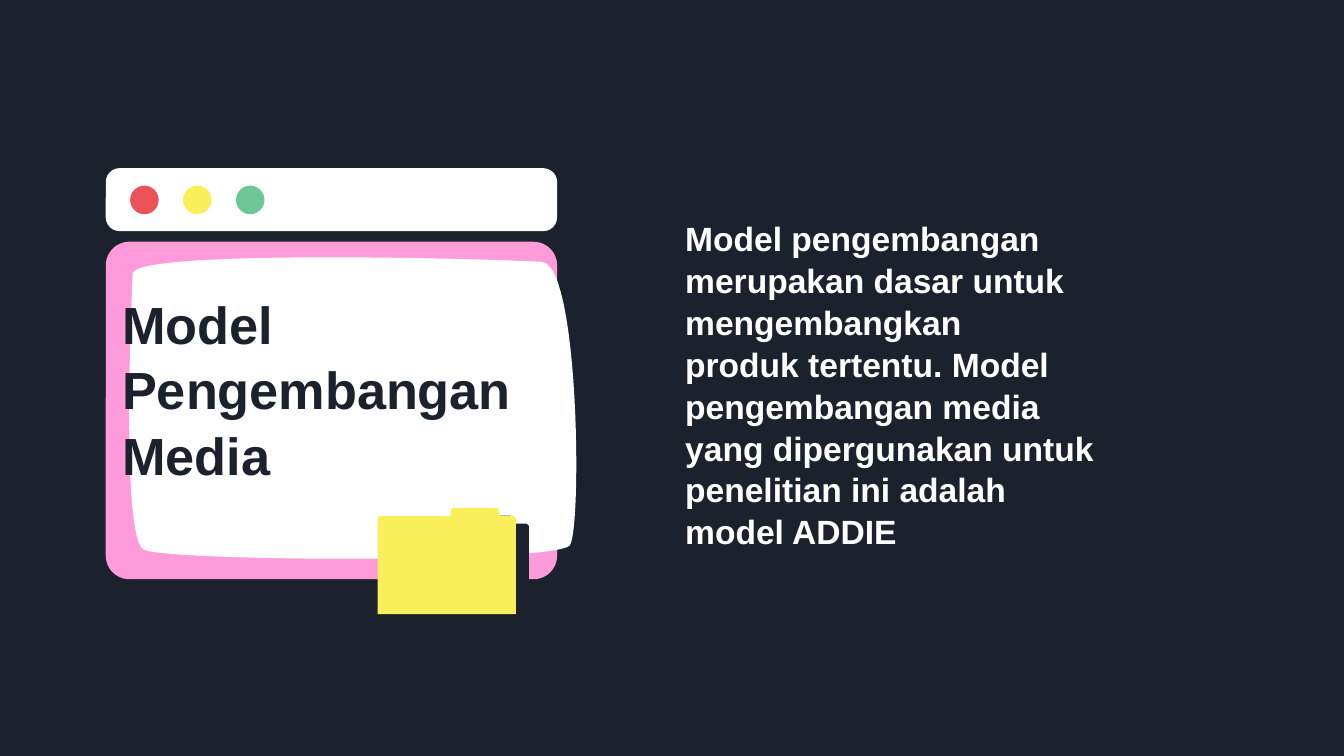
"""Build a slide that introduces the media development model."""
from dataclasses import dataclass

import lxml.etree
import pptx
import pptx.dml.color
import pptx.enum.shapes
import pptx.enum.text
import pptx.oxml.ns
import pptx.util

Cm = pptx.util.Cm
PRESET = pptx.enum.shapes.MSO_SHAPE


@dataclass(frozen=True)
class Theme:
    navy: str = "1B222D"
    white: str = "FFFFFF"
    pink: str = "FF9BDA"
    red: str = "EB5358"
    yellow: str = "F8EF5B"
    green: str = "6DC797"
    font: str = "Arial"
    title_size: int = 28
    body_size: int = 18
    line_spacing: float = 1.04


THEME = Theme()

PAPER_START = (2.51, 5.16)
PAPER_CURVES = [
    ((2.51, 5.16), (2.26, 10.19), (2.72, 10.39)),
    ((3.18, 10.62), (10.52, 10.64), (10.77, 10.31)),
    ((11.0, 9.98), (10.95, 4.98), (10.24, 4.95)),
    ((9.55, 4.9), (2.64, 4.7), (2.51, 5.16)),
]
FOLDER_OUTLINE = [
    (9.75, 9.8), (9.75, 11.61), (7.14, 11.61), (7.14, 9.8), (7.16, 9.77),
    (7.2, 9.75), (8.51, 9.75), (8.53, 9.63), (8.56, 9.6), (9.4, 9.6),
    (9.42, 9.63), (9.45, 9.75), (9.69, 9.75), (9.73, 9.77),
]


def rgb(color):
    return pptx.dml.color.RGBColor.from_string(color)


def paint(shape, color):
    shape.shadow.inherit = False
    shape.fill.solid()
    shape.fill.fore_color.rgb = rgb(color)
    shape.line.fill.background()


def add_preset(slide, preset, left, top, width, height, color, rounding=None):
    shape = slide.shapes.add_shape(preset, Cm(left), Cm(top), Cm(width), Cm(height))
    if rounding is not None:
        shape.adjustments[0] = rounding
    paint(shape, color)


def trace_curves(start, curves, steps=24):
    points = [start]
    for first, second, end in curves:
        origin = points[-1]
        for step in range(1, steps + 1):
            t = step / steps
            weights = ((1 - t) ** 3, 3 * t * (1 - t) ** 2, 3 * t * t * (1 - t), t ** 3)
            corners = (origin, first, second, end)
            points.append(tuple(
                sum(w * corner[axis] for w, corner in zip(weights, corners))
                for axis in (0, 1)
            ))
    return points


def add_outline(slide, points, color):
    start, *rest = [(Cm(x), Cm(y)) for x, y in points]
    builder = slide.shapes.build_freeform(*start)
    builder.add_line_segments(rest, close=True)
    outline = builder.convert_to_shape()
    paint(outline, color)
    return outline


def cast_shadow(shape, color, distance, angle):
    qn = pptx.oxml.ns.qn
    effects = shape.element.spPr.find(qn("a:effectLst"))
    shadow = lxml.etree.SubElement(
        effects, qn("a:outerShdw"), blurRad="0", dist=str(int(distance)),
        dir=str(angle * 60000), algn="bl", rotWithShape="0")
    lxml.etree.SubElement(shadow, qn("a:srgbClr"), val=color)


def add_text(slide, left, top, width, height, text, size, color):
    box = slide.shapes.add_textbox(Cm(left), Cm(top), Cm(width), Cm(height))
    frame = box.text_frame
    frame.word_wrap = True
    frame.vertical_anchor = pptx.enum.text.MSO_ANCHOR.TOP
    frame.margin_left = frame.margin_right = Cm(0.25)
    frame.margin_top = frame.margin_bottom = Cm(0.25)
    frame.text = text
    for paragraph in frame.paragraphs:
        paragraph.line_spacing = THEME.line_spacing
        for run in paragraph.runs:
            run.font.name = THEME.font
            run.font.size = pptx.util.Pt(size)
            run.font.bold = True
            run.font.color.rgb = rgb(color)


def add_window(slide):
    add_preset(slide, PRESET.ROUNDED_RECTANGLE, 2, 4.57, 8.53, 6.38, THEME.pink, 0.07)
    add_outline(slide, trace_curves(PAPER_START, PAPER_CURVES), THEME.white)
    add_preset(slide, PRESET.ROUNDED_RECTANGLE, 2, 3.18, 8.53, 1.19, THEME.white, 0.22)
    for index, color in enumerate((THEME.red, THEME.yellow, THEME.green)):
        add_preset(slide, PRESET.OVAL, 2.46 + index, 3.51, 0.54, 0.54, color)


def main():
    deck = pptx.Presentation()
    deck.slide_width, deck.slide_height = Cm(25.4), Cm(14.29)
    slide = deck.slides.add_slide(deck.slide_layouts[6])
    slide.background.fill.solid()
    slide.background.fill.fore_color.rgb = rgb(THEME.navy)

    add_window(slide)
    add_text(slide, 2.06, 5.23, 8.74, 5.11, "Model Pengembangan Media",
             THEME.title_size, THEME.navy)
    folder = add_outline(slide, FOLDER_OUTLINE, THEME.yellow)
    cast_shadow(folder, THEME.navy, pptx.util.Pt(8.2), 31)
    explanation = "\n".join((
        "Model pengembangan merupakan dasar untuk mengembangkan",
        "produk tertentu. Model pengembangan media yang dipergunakan untuk",
        "penelitian ini adalah model ADDIE",
    ))
    add_text(slide, 12.7, 3.84, 8.33, 6.68, explanation, THEME.body_size, THEME.white)
    deck.save("out.pptx")


if __name__ == "__main__":
    main()
